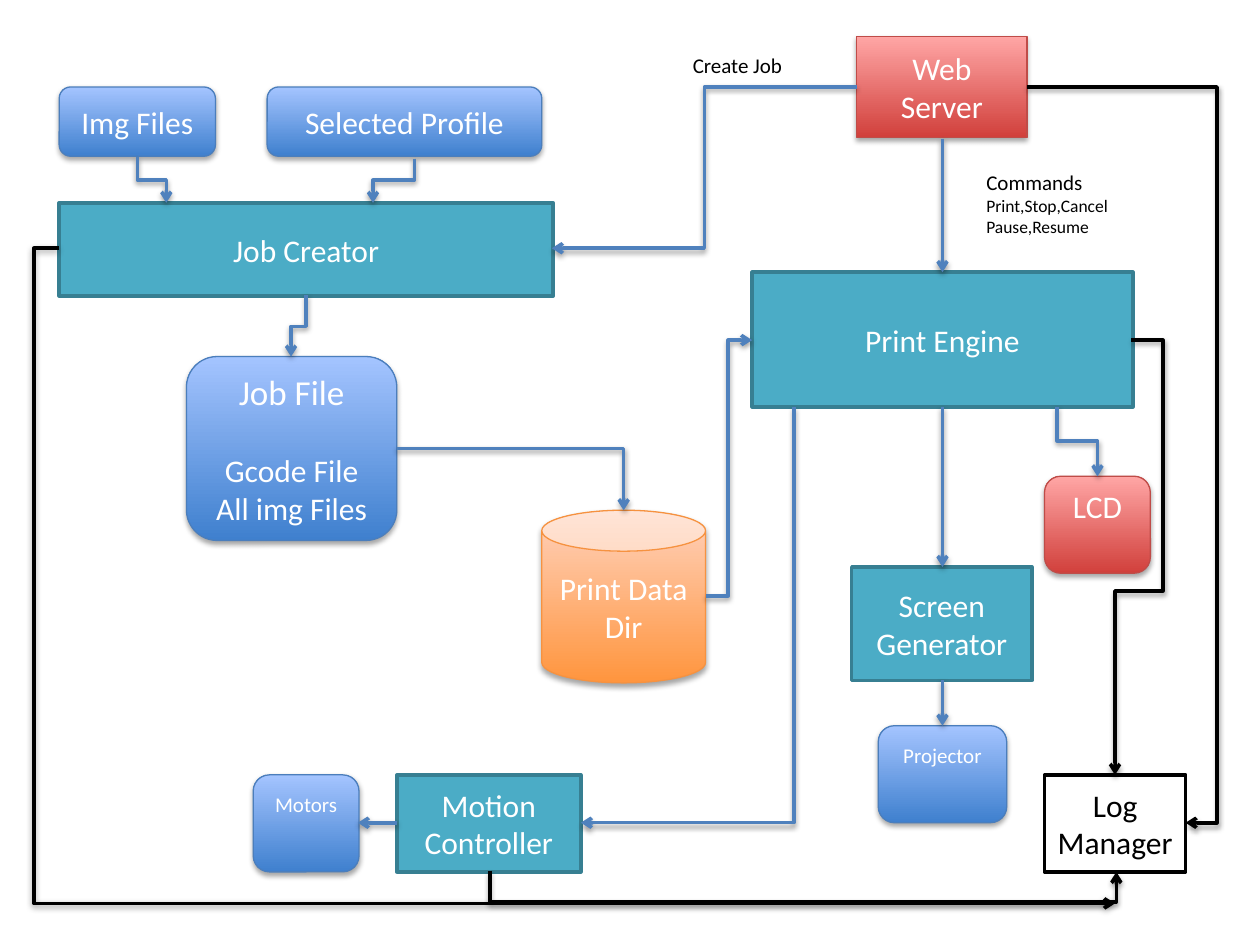
from lxml import etree
from pptx import Presentation
from pptx.dml.color import RGBColor
from pptx.enum import shapes, text
from pptx.oxml.ns import qn
from pptx.util import Inches, Pt

THEME = {
    "font": "Calibri",
    "large": 20, "body": 18, "small": 12, "tiny": 10,
    "white": "FFFFFF", "black": "000000", "arrow": "4F81BD",
    # box styles: fill colours (bottom, top for a gradient), line, line width, text
    "file": (("3F80CE", "A4C4FF"), "4B7EBC", 0.75, "FFFFFF"),
    "device": (("D1403C", "FFA6A5"), "BF4C48", 0.75, "FFFFFF"),
    "store": (("FF953E", "FFD2BD"), "F69240", 0.75, "FFFFFF"),
    "process": (("4BACC6",), "377F92", 2, "FFFFFF"),
    "log": (("FFFFFF",), "000000", 2, "000000"),
}
LARGE, BODY, SMALL, TINY = (THEME[name] for name in ("large", "body", "small", "tiny"))
BODY_LINE = 22  # height in points of one line of body text

RECTANGLE = shapes.MSO_SHAPE.RECTANGLE
ROUNDED = shapes.MSO_SHAPE.ROUNDED_RECTANGLE
CAN = shapes.MSO_SHAPE.CAN

# Boxes: style, preset, corner, (left, top, width, height), lines, options
BOXES = [
    ("store", CAN, None, (4.3, 4.05, 1.3, 1.37), [("Print Data Dir", BODY)], {}),
    ("file", ROUNDED, None, (0.47, 0.69, 1.24, 0.55), [("Img Files", BODY)], {}),
    ("file", ROUNDED, None, (2.12, 0.69, 2.18, 0.55), [("Selected Profile", BODY)], {}),
    ("process", RECTANGLE, None, (0.47, 1.61, 3.92, 0.74), [("Job Creator", BODY)], {}),
    ("file", ROUNDED, None, (1.48, 2.83, 1.67, 1.46),
     [("Job File", LARGE), ("Gcode File", BODY), ("All img Files", BODY)],
     {"heading_gap": True}),
    ("process", ROUNDED, 0, (5.97, 2.16, 3.02, 1.07), [("Print Engine", BODY)], {}),
    ("file", ROUNDED, None, (2.01, 6.15, 0.84, 0.77), [("Motors", SMALL)], {"raised": True}),
    ("file", ROUNDED, None, (6.97, 5.76, 1.02, 0.77), [("Projector", SMALL)], {"raised": True}),
    ("device", ROUNDED, None, (8.29, 3.78, 0.84, 0.77), [("LCD", BODY)], {"raised": True}),
    ("process", RECTANGLE, None, (3.15, 6.15, 1.46, 0.77), [("Motion Controller", BODY)], {}),
    ("process", ROUNDED, 0, (6.76, 4.5, 1.43, 0.9), [("Screen Generator", BODY)], {}),
    ("device", ROUNDED, 0, (6.8, 0.29, 1.35, 0.8), [("Web Server", BODY)], {}),
    ("log", RECTANGLE, None, (8.29, 6.15, 1.12, 0.77), [("Log Manager", BODY)], {}),
]

LABELS = [
    ((7.73, 1.3, 1.36, 0.64),
     [("Commands", SMALL), ("Print,Stop,Cancel", TINY), ("Pause,Resume", TINY)]),
    ((5.4, 0.37, 1.36, 0.3), [("Create Job", SMALL)]),
]

# Arrows: the corner points of each route, from start to arrowhead
WORK_ROUTES = [
    [(3.29, 1.26), (3.29, 1.43), (2.96, 1.43), (2.96, 1.61)],  # profile to job creator
    [(1.09, 1.25), (1.09, 1.43), (1.32, 1.43), (1.32, 1.61)],  # images to job creator
    [(2.43, 2.34), (2.43, 2.59), (2.31, 2.59), (2.31, 2.83)],  # job creator to job file
    [(3.15, 3.56), (4.95, 3.56), (4.95, 4.05)],                # job file to print data
    [(5.6, 4.73), (5.78, 4.73), (5.78, 2.7), (5.97, 2.7)],     # print data to engine
    [(6.8, 0.69), (5.59, 0.69), (5.59, 1.97), (4.38, 1.97)],   # server to job creator
    [(7.48, 1.1), (7.48, 2.16)],                               # server to engine
    [(7.48, 3.23), (7.48, 4.5)],                               # engine to screen generator
    [(7.48, 5.4), (7.48, 5.76)],                               # generator to projector
    [(8.39, 3.23), (8.39, 3.5), (8.71, 3.5), (8.71, 3.78)],    # engine to LCD
    [(6.3, 3.23), (6.3, 6.53), (4.61, 6.53)],                  # engine to motion controller
    [(3.15, 6.53), (2.84, 6.53)],                              # controller to motors
]
LOG_ROUTES = [
    [(8.15, 0.69), (9.66, 0.69), (9.66, 6.53), (9.41, 6.53)],
    [(8.98, 2.7), (9.23, 2.7), (9.23, 4.69), (8.85, 4.69), (8.85, 6.15)],
    [(3.89, 6.91), (3.89, 7.16), (8.86, 7.16), (8.86, 6.92)],
    [(0.47, 1.97), (0.27, 1.97), (0.27, 7.17), (8.85, 7.17)],
]


def color(value):
    return RGBColor.from_string(value)


def add_child(parent, tag, **attributes):
    child = etree.SubElement(parent, qn(tag))
    for name, value in attributes.items():
        child.set(name, str(value))
    return child


def add_shadow(effects, distance, opacity):
    shadow = add_child(effects, "a:outerShdw", blurRad=Pt(3.1), dist=Pt(distance),
                       dir=90 * 60000, rotWithShape=0)
    black = add_child(shadow, "a:srgbClr", val=THEME["black"])
    add_child(black, "a:alpha", val=opacity * 1000)


def write_lines(frame, lines, text_color, alignment):
    frame.word_wrap = True
    frame.text = "\n".join(line for line, size in lines)
    for paragraph, (line, size) in zip(frame.paragraphs, lines):
        paragraph.alignment = alignment
        font = paragraph.runs[0].font
        font.name, font.size = THEME["font"], Pt(size)
        font.color.rgb = color(text_color)


def add_box(slide, style, preset, corner, place, lines, options):
    fills, line_color, line_width, text_color = THEME[style]
    shape = slide.shapes.add_shape(preset, *map(Inches, place))
    if corner is not None:
        shape.adjustments[0] = corner
    shape.shadow.inherit = False
    if len(fills) == 2:
        shape.fill.gradient()
        shape.fill.gradient_angle = 90
        for stop, value in zip(shape.fill.gradient_stops, fills):
            stop.color.rgb = color(value)
        add_shadow(shape._element.spPr.find(qn("a:effectLst")), 1.8, 35)
    else:
        shape.fill.solid()
        shape.fill.fore_color.rgb = color(fills[0])
    shape.line.color.rgb = color(line_color)
    shape.line.width = Pt(line_width)
    frame = shape.text_frame
    frame.vertical_anchor = text.MSO_ANCHOR.MIDDLE
    write_lines(frame, lines, text_color, text.PP_ALIGN.CENTER)
    if options.get("heading_gap"):
        frame.paragraphs[0].space_after = Pt(BODY_LINE)
    if options.get("raised"):
        frame.margin_bottom = Inches(0.05) + Pt(BODY_LINE)


def add_arrow(slide, points, line_color):
    (x1, y1), (x2, y2) = points[0], points[-1]
    dx, dy = x2 - x1, y2 - y1
    bent = len(points) > 2
    # A route that leaves vertically is a horizontal one turned by 90 degrees
    turned = bent and points[1][0] == x1
    width, height = (dy, -dx) if turned else (dx, dy)
    middle_x, middle_y = (x1 + x2) / 2, (y1 + y2) / 2
    kind = shapes.MSO_CONNECTOR.ELBOW if bent else shapes.MSO_CONNECTOR.STRAIGHT
    ends = (middle_x - width / 2, middle_y - height / 2,
            middle_x + width / 2, middle_y + height / 2)
    connector = slide.shapes.add_connector(kind, *map(Inches, ends))
    properties = connector._element.spPr
    if turned:
        properties.find(qn("a:xfrm")).set("rot", str(90 * 60000))
    if bent:
        geometry = properties.find(qn("a:prstGeom"))
        geometry.set("prst", f"bentConnector{len(points) - 1}")
        bends = []
        if len(points) > 3:
            bends.append((points[1][1] - y1) / dy if turned else (points[1][0] - x1) / dx)
        if len(points) > 4:
            bends.append((points[2][1] - y1) / dy)
        for number, bend in enumerate(bends, 1):
            add_child(geometry.find(qn("a:avLst")), "a:gd", name=f"adj{number}",
                      fmla=f"val {round(bend * 100000)}")
    connector.line.color.rgb = color(line_color)
    connector.line.width = Pt(2)
    add_child(properties.find(qn("a:ln")), "a:tailEnd", type="arrow")
    add_shadow(add_child(properties, "a:effectLst"), 1.6, 38)


def main():
    presentation = Presentation()
    presentation.slide_width, presentation.slide_height = Inches(10), Inches(7.5)
    slide = presentation.slides.add_slide(presentation.slide_layouts[6])

    for box in BOXES:
        add_box(slide, *box)
    for place, lines in LABELS:
        label = slide.shapes.add_textbox(*map(Inches, place))
        write_lines(label.text_frame, lines, THEME["black"], text.PP_ALIGN.LEFT)
    for routes, line_color in ((WORK_ROUTES, THEME["arrow"]), (LOG_ROUTES, THEME["black"])):
        for points in routes:
            add_arrow(slide, points, line_color)

    presentation.save("out.pptx")


if __name__ == "__main__":
    main()
